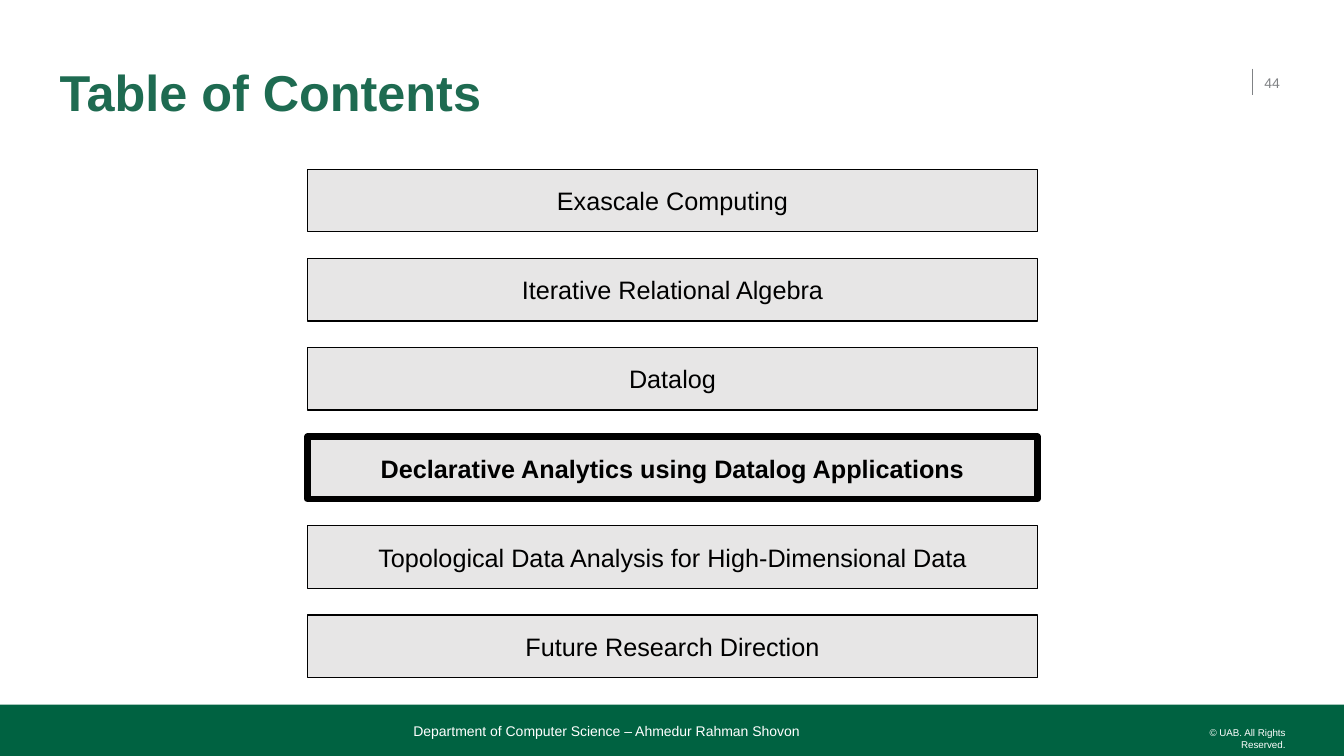
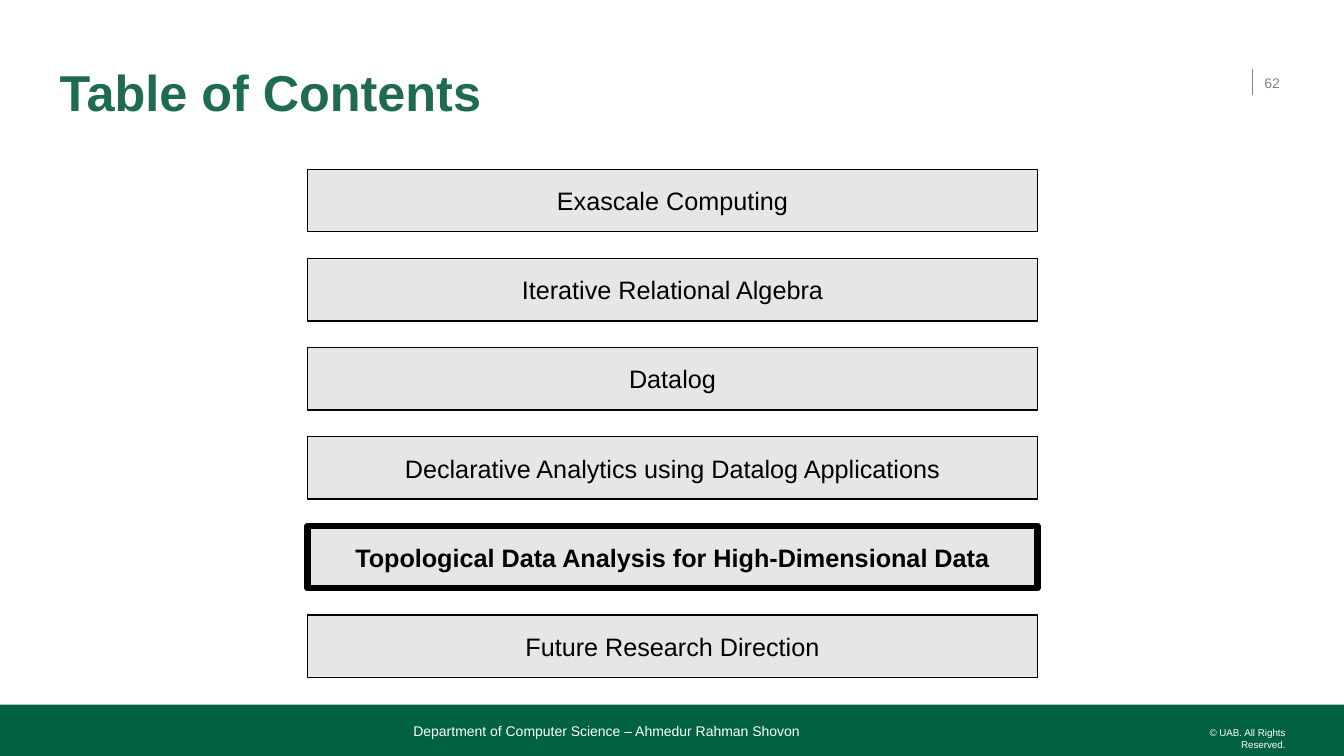
from lxml import etree
from pptx import Presentation
from pptx.dml.color import RGBColor
from pptx.enum.shapes import MSO_CONNECTOR, MSO_SHAPE
from pptx.enum.text import MSO_ANCHOR, MSO_AUTO_SIZE, PP_ALIGN
from pptx.oxml.ns import qn
from pptx.util import Inches, Pt

RECTANGLE = MSO_SHAPE.RECTANGLE
STRAIGHT = MSO_CONNECTOR.STRAIGHT
TOP, MIDDLE, BOTTOM = MSO_ANCHOR.TOP, MSO_ANCHOR.MIDDLE, MSO_ANCHOR.BOTTOM
LEFT, CENTER, RIGHT = PP_ALIGN.LEFT, PP_ALIGN.CENTER, PP_ALIGN.RIGHT

WHITE = RGBColor(0xFF, 0xFF, 0xFF)
BLACK = RGBColor(0x00, 0x00, 0x00)
GRAY = RGBColor(0x80, 0x82, 0x85)
LIGHT_GRAY = RGBColor(0xE7, 0xE6, 0xE6)
BAND_GREEN = RGBColor(0x00, 0x62, 0x41)
TITLE_GREEN = RGBColor(0x1E, 0x6B, 0x51)

FONT = "Arial"
TITLE_ONLY = 5
TOPICS = [
    "Exascale Computing",
    "Iterative Relational Algebra",
    "Datalog",
    "Declarative Analytics using Datalog Applications",
    "Topological Data Analysis for High-Dimensional Data",
    "Future Research Direction",
]
TOPIC_TOP, TOPIC_STEP = 1.68, 0.884
# Page number and the topic that comes next
PAGES = [("44", TOPICS[3]), ("62", TOPICS[4])]
# Text, left, top, width, height, size, color, alignment, anchor
FOOTERS = [
    ("© UAB. All Rights Reserved.", 11.55, 7.21, 1.2, 0.12, 7, WHITE, RIGHT, TOP),
    ("Department of Computer Science – Ahmedur Rahman Shovon",
     4.1, 7.11, 7.08, 0.23, 10, WHITE, LEFT, BOTTOM),
]


def write(shape, text, size, color, align, anchor, bold=False, margin=None):
    """Fill the shape with one styled paragraph; margin applies to all sides."""
    frame = shape.text_frame
    frame.word_wrap = True
    frame.auto_size = MSO_AUTO_SIZE.NONE
    frame.vertical_anchor = anchor
    if margin is not None:
        frame.margin_left = frame.margin_right = margin
        frame.margin_top = frame.margin_bottom = margin
    para = frame.paragraphs[0]
    para.alignment = align
    span = para.add_run()
    span.text = text
    span.font.name = FONT
    span.font.size = Pt(size)
    span.font.bold = bold
    span.font.color.rgb = color
    return para


def add_rectangle(page, left, top, width, height, fill):
    box = page.shapes.add_shape(
        RECTANGLE, Inches(left), Inches(top), Inches(width), Inches(height))
    box.shadow.inherit = False
    box.fill.solid()
    box.fill.fore_color.rgb = fill
    return box


deck = Presentation()
deck.slide_width = Inches(13.33)
deck.slide_height = Inches(7.5)

for number, current_topic in PAGES:
    page = deck.slides.add_slide(deck.slide_layouts[TITLE_ONLY])

    title = page.shapes.title
    title.left, title.top = Inches(0.59), Inches(0.52)
    title.width, title.height = Inches(11.63), Inches(0.84)
    para = write(title, "Table of Contents", 36, TITLE_GREEN, LEFT, MIDDLE,
                 bold=True, margin=0)
    para.line_spacing = 0.9

    divider = page.shapes.add_connector(
        STRAIGHT, Inches(12.42), Inches(0.68), Inches(12.42), Inches(0.94))
    divider.line.color.rgb = GRAY
    divider.line.width = Pt(1)
    etree.SubElement(divider._element.spPr, qn("a:effectLst"))

    band = add_rectangle(page, 0, 6.99, 13.33, 0.51, BAND_GREEN)
    band.line.fill.background()

    page_number = (number, 12.54, 0.62, 0.33, 0.4, 10, GRAY, LEFT, MIDDLE)
    for text, left, top, width, height, size, color, align, anchor in [*FOOTERS, page_number]:
        label = page.shapes.add_textbox(
            Inches(left), Inches(top), Inches(width), Inches(height))
        write(label, text, size, color, align, anchor, margin=0)

    for row, topic in enumerate(TOPICS):
        is_current = topic == current_topic
        box = add_rectangle(
            page, 3.05, TOPIC_TOP + row * TOPIC_STEP, 7.24, 0.62, LIGHT_GRAY)
        box.line.color.rgb = BLACK
        box.line.width = Pt(4.5 if is_current else 1)
        write(box, topic, 18, BLACK, CENTER, MIDDLE, bold=is_current)

deck.save("out.pptx")
